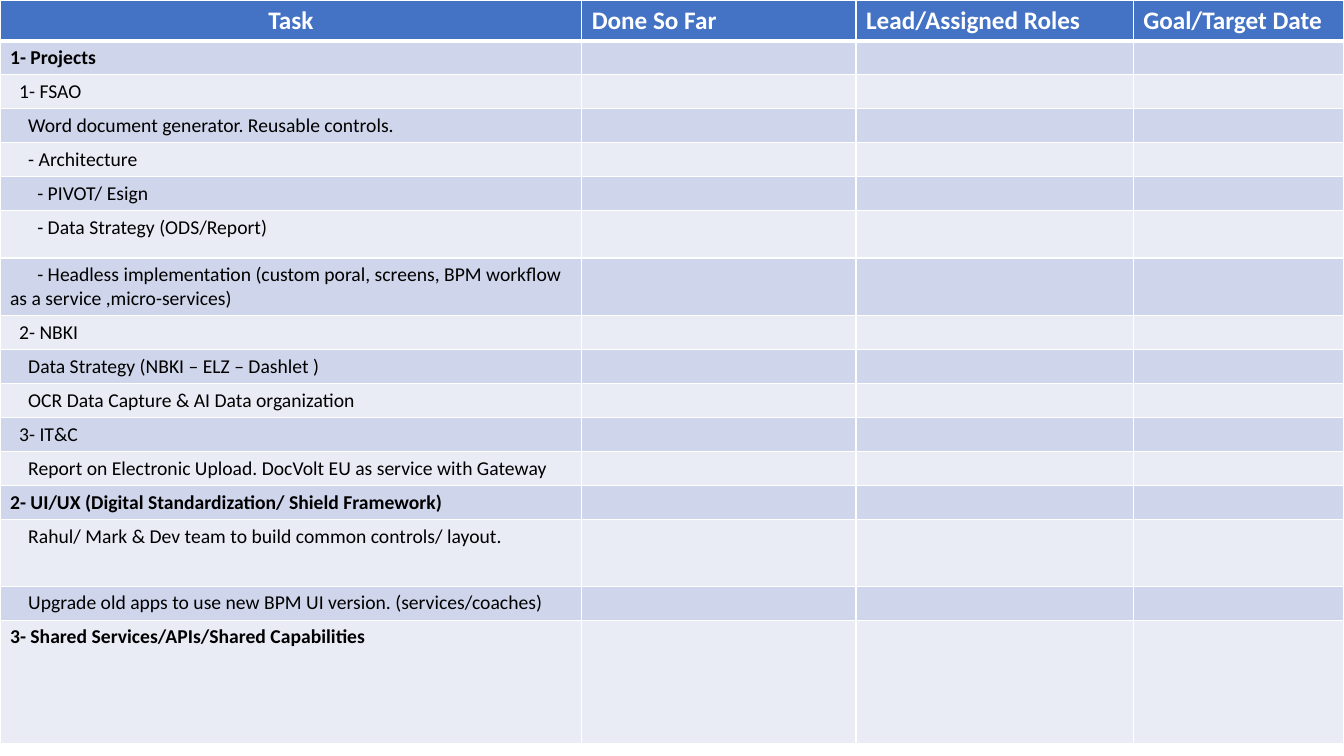
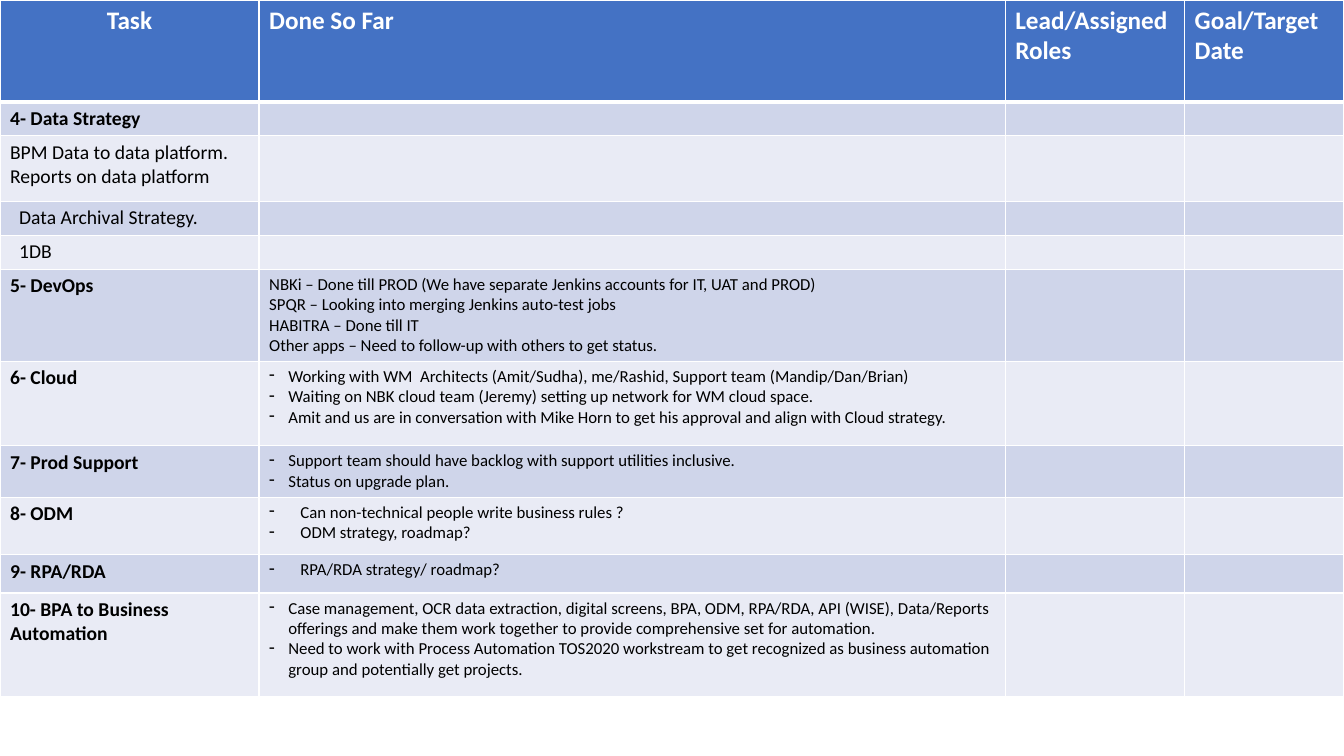
"""Build two task status tables that share one header, palette and banding."""
from lxml import etree
from pptx import Presentation, util as u
from pptx.dml.color import RGBColor
from pptx.enum import text
from pptx.oxml.ns import qn

COLORS = {"header": "4472C4", "odd": "CFD5EA", "even": "E9EBF5", "white": "FFFFFF", "black": "000000"}
FONT = "Calibri"
HEADINGS = ["Task", "Done So Far", "Lead/Assigned Roles", "Goal/Target Date"]
LINE_ROW = 0.31
STEP = 0.09
NARROW, WIDE = 0.19, 0.31

projects = [
    (LINE_ROW, 0, "1- Projects", 0, []),
    (LINE_ROW, 1, "1- FSAO", 0, []),
    (LINE_ROW, 2, "Word document generator. Reusable controls.", 0, []),
    (LINE_ROW, 2, "- Architecture", 0, []),
    (LINE_ROW, 3, "- PIVOT/ Esign", 0, []),
    (0.47, 3, "- Data Strategy (ODS/Report)", 0, []),
    (0.57, 3, "- Headless implementation (custom poral, screens, BPM workflow as a service ,micro-services)", 0, []),
    (LINE_ROW, 1, "2- NBKI", 0, []),
    (LINE_ROW, 2, "Data Strategy (NBKI – ELZ – Dashlet )", 0, []),
    (LINE_ROW, 2, "OCR Data Capture & AI Data organization", 0, []),
    (LINE_ROW, 1, "3- IT&C", 0, []),
    (LINE_ROW, 2, "Report on Electronic Upload. DocVolt EU as service with Gateway", 0, []),
    (LINE_ROW, 0, "2- UI/UX (Digital Standardization/ Shield Framework)", 0, []),
    (0.66, 2, "Rahul/ Mark & Dev team to build common controls/ layout.", 0, []),
    (LINE_ROW, 2, "Upgrade old apps to use new BPM UI version. (services/coaches)", 0, []),
    (1.22, 0, "3- Shared Services/APIs/Shared Capabilities", 0, []),
]

strategy = [
    (LINE_ROW, 0, "4- Data Strategy", 0, []),
    (0.65, 0, "BPM Data to data platform. Reports on data platform", 0, []),
    (LINE_ROW, 1, "Data Archival Strategy.", 0, []),
    (LINE_ROW, 1, "1DB", 0, []),
    (0.91, 0, "5- DevOps", 0, [
        "NBKi – Done till PROD (We have separate Jenkins accounts for IT, UAT and PROD)",
        "SPQR – Looking into merging Jenkins auto-test jobs",
        "HABITRA – Done till IT",
        "Other apps – Need to follow-up with others to get status."]),
    (0.84, 0, "6- Cloud", NARROW, [
        "Working with WM  Architects (Amit/Sudha), me/Rashid, Support team (Mandip/Dan/Brian)",
        "Waiting on NBK cloud team (Jeremy) setting up network for WM cloud space.",
        "Amit and us are in conversation with Mike Horn to get his approval and align with Cloud strategy."]),
    (0.51, 0, "7- Prod Support", NARROW, [
        "Support team should have backlog with support utilities inclusive.",
        "Status on upgrade plan."]),
    (0.57, 0, "8- ODM", WIDE, [
        "Can non-technical people write business rules ?",
        "ODM strategy, roadmap?"]),
    (0.38, 0, "9- RPA/RDA", WIDE, ["RPA/RDA strategy/ roadmap?"]),
    (1.03, 0, "10- BPA to Business Automation", NARROW, [
        "Case management, OCR data extraction, digital screens, BPA, ODM, RPA/RDA, API (WISE), "
        "Data/Reports offerings and make them work together to provide comprehensive set for automation.",
        "Need to work with Process Automation TOS2020 workstream to get recognized as business automation "
        "group and potentially get projects."]),
]

tables = [
    ([5.77, 2.72, 2.75, 2.09], 0.4, projects),
    ([2.57, 7.4, 1.78, 1.58], 1.01, strategy),
]


def paint_cell(cell, color, bottom=1):
    """Draw white borders around a cell and fill it."""
    properties = cell._tc.get_or_add_tcPr()
    for side, width in zip("LRTB", (1, 1, 1, bottom)):
        border = etree.SubElement(properties, qn(f"a:ln{side}"), w=str(u.Pt(width)))
        ink = etree.SubElement(border, qn("a:solidFill"))
        etree.SubElement(ink, qn("a:srgbClr"), val=COLORS["white"])
    cell.fill.solid()
    cell.fill.fore_color.rgb = RGBColor.from_string(COLORS[color])


def write_lines(cell, lines, size, color, bold=False, first_line=0, hanging=0):
    """Write one paragraph per line, indented or with hanging dashes."""
    cell.text = "\n".join(lines)
    for paragraph in cell.text_frame.paragraphs:
        layout = paragraph._p.get_or_add_pPr()
        layout.set("marL", str(u.Inches(hanging)))
        layout.set("indent", str(u.Inches(first_line - hanging)))
        if hanging:
            etree.SubElement(layout, qn("a:buChar"), char="-")
        paragraph.font.name = FONT
        paragraph.font.size = u.Pt(size)
        paragraph.font.bold = bold
        paragraph.font.color.rgb = RGBColor.from_string(COLORS[color])
        if not lines:
            etree.SubElement(paragraph._p, qn("a:endParaRPr"), sz=str(size * 100))


deck = Presentation()
deck.slide_width, deck.slide_height = u.Inches(13.33), u.Inches(7.5)

for widths, header_height, tasks in tables:
    slide = deck.slides.add_slide(deck.slide_layouts[6])
    heights = [header_height] + [task[0] for task in tasks]
    grid = slide.shapes.add_table(len(heights), len(widths), 0, 0,
                                  deck.slide_width, u.Inches(sum(heights))).table
    for column, width in zip(grid.columns, widths):
        column.width = u.Inches(width)
    for row, height in zip(grid.rows, heights):
        row.height = u.Inches(height)

    for column, heading in enumerate(HEADINGS):
        cell = grid.cell(0, column)
        paint_cell(cell, "header", bottom=3)
        write_lines(cell, [heading], 18, "white", bold=True)
    grid.cell(0, 0).text_frame.paragraphs[0].alignment = text.PP_ALIGN.CENTER

    for row, (height, depth, task, hanging, notes) in enumerate(tasks, 1):
        for column in range(len(widths)):
            paint_cell(grid.cell(row, column), "odd" if row % 2 else "even")
        numbered = depth == 0 and task[0].isdigit()
        write_lines(grid.cell(row, 0), [task], 14, "black", bold=numbered, first_line=depth * STEP)
        write_lines(grid.cell(row, 1), notes, 12, "black", hanging=hanging)
        for column in (2, 3):
            write_lines(grid.cell(row, column), [], 12, "black")

deck.save("out.pptx")
